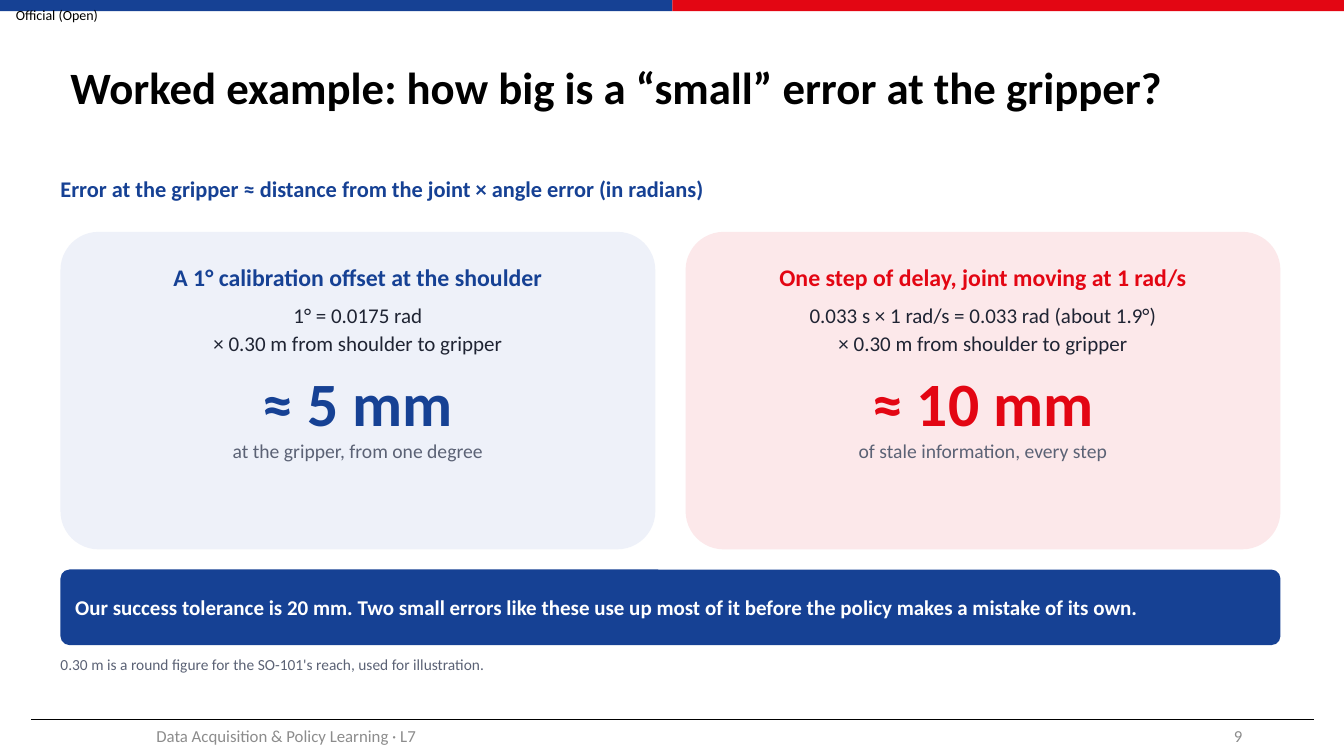
"""Build the worked example slide on small errors at the gripper."""
from pptx import Presentation
from pptx.dml.color import RGBColor
from pptx.enum.shapes import MSO_CONNECTOR, MSO_SHAPE
from pptx.enum.text import MSO_ANCHOR, PP_ALIGN
from pptx.util import Inches, Pt
from lxml import etree

RECTANGLE, ROUNDED = MSO_SHAPE.RECTANGLE, MSO_SHAPE.ROUNDED_RECTANGLE
STRAIGHT = MSO_CONNECTOR.STRAIGHT
TOP, MIDDLE = MSO_ANCHOR.TOP, MSO_ANCHOR.MIDDLE
LEFT, CENTER, RIGHT = PP_ALIGN.LEFT, PP_ALIGN.CENTER, PP_ALIGN.RIGHT
BLUE, RED, BLACK, WHITE = "164194", "E30613", "000000", "FFFFFF"
INK, MUTED, FOOTER = "1F2433", "5B6275", "8C8C8C"
DRAWING = "http://schemas.openxmlformats.org/drawingml/2006/main"


def add_panel(kind, left, top, width, height, fill):
    """Add a filled shape without outline or shadow."""
    panel = page.shapes.add_shape(kind, Inches(left), Inches(top), Inches(width), Inches(height))
    panel.shadow.inherit = False
    panel.fill.solid()
    panel.fill.fore_color.rgb = RGBColor.from_string(fill)
    panel.line.fill.background()
    if kind == ROUNDED:
        panel.adjustments[0] = 0.12
    return panel


def write(shape, lines, margins, anchor=MIDDLE, align=LEFT):
    """Fill a shape with lines of (text, size, colour, bold, space after)."""
    frame = shape.text_frame
    frame.word_wrap = True
    frame.vertical_anchor = anchor
    frame.margin_left = frame.margin_right = Inches(margins[0])
    frame.margin_top = frame.margin_bottom = Inches(margins[1])
    frame.text = "\n".join(line[0] for line in lines)
    for para, (_, size, color, bold, after) in zip(frame.paragraphs, lines):
        para.alignment = align
        para.space_after = Pt(after)
        for span in para.runs:
            span.font.name = "Calibri"
            span.font.size = Pt(size)
            span.font.bold = bold
            span.font.color.rgb = RGBColor.from_string(color)
    return frame


deck = Presentation()
deck.slide_width, deck.slide_height = Inches(13.33), Inches(7.5)
page = deck.slides.add_slide(deck.slide_layouts[6])

for left, color in [(0, BLUE), (6.67, RED)]:
    add_panel(RECTANGLE, left, 0, 6.67, 0.11, color)

rule = page.shapes.add_connector(STRAIGHT, Inches(0.31), Inches(7.14), Inches(13.03), Inches(7.14))
rule.line.color.rgb = RGBColor.from_string(BLACK)
rule.line.width = Pt(0.5)
etree.SubElement(rule.element.spPr, f"{{{DRAWING}}}effectLst")

labels = [
    ("Official (Open)", (0, 0, 1.13, 0.29), 10, BLACK, False, (0, 0), MIDDLE, CENTER),
    ("Worked example: how big is a “small” error at the gripper?",
     (0.6, 0.3, 12.08, 1.18), 32, BLACK, True, (0.1, 0.05), MIDDLE, LEFT),
    ("Data Acquisition & Policy Learning · L7",
     (0.59, 7.1, 4.5, 0.4), 12, FOOTER, False, (0.1, 0.05), MIDDLE, CENTER),
    ("9", (9.42, 7.1, 3, 0.4), 12, FOOTER, False, (0.1, 0.05), MIDDLE, RIGHT),
    ("Error at the gripper ≈ distance from the joint × angle error (in radians)",
     (0.6, 1.6, 12.1, 0.55), 16, BLUE, True, (0, 0), MIDDLE, LEFT),
    ("0.30 m is a round figure for the SO-101's reach, used for illustration.",
     (0.6, 6.5, 12.1, 0.3), 11, MUTED, False, (0, 0), TOP, LEFT),
]
for text, place, size, color, bold, margins, anchor, align in labels:
    box = page.shapes.add_textbox(*map(Inches, place))
    frame = write(box, [(text, size, color, bold, 0)], margins, anchor, align)
    if size == 32:
        frame.paragraphs[0].line_spacing = 0.9

cards = [
    ("EEF1F9", BLUE, "A 1° calibration offset at the shoulder", "1° = 0.0175 rad",
     "≈ 5 mm", "at the gripper, from one degree"),
    ("FCE8EA", RED, "One step of delay, joint moving at 1 rad/s",
     "0.033 s × 1 rad/s = 0.033 rad (about 1.9°)",
     "≈ 10 mm", "of stale information, every step"),
]
for index, (fill, accent, heading, angle, result, caption) in enumerate(cards):
    card = add_panel(ROUNDED, 0.6 + 6.2 * index, 2.3, 5.9, 3.15, fill)
    write(card, [
        (heading, 17, accent, True, 8),
        (angle, 15, INK, False, 2),
        ("× 0.30 m from shoulder to gripper", 15, INK, False, 6),
        (result, 44, accent, True, 0),
        (caption, 14, MUTED, False, 0),
    ], (0.2, 0.2), TOP, CENTER)

takeaway = add_panel(ROUNDED, 0.6, 5.65, 12.1, 0.75, BLUE)
write(takeaway, [("Our success tolerance is 20 mm. Two small errors like these use up most of it "
                  "before the policy makes a mistake of its own.", 15, WHITE, True, 0)], (0.12, 0.06))

deck.save("out.pptx")
